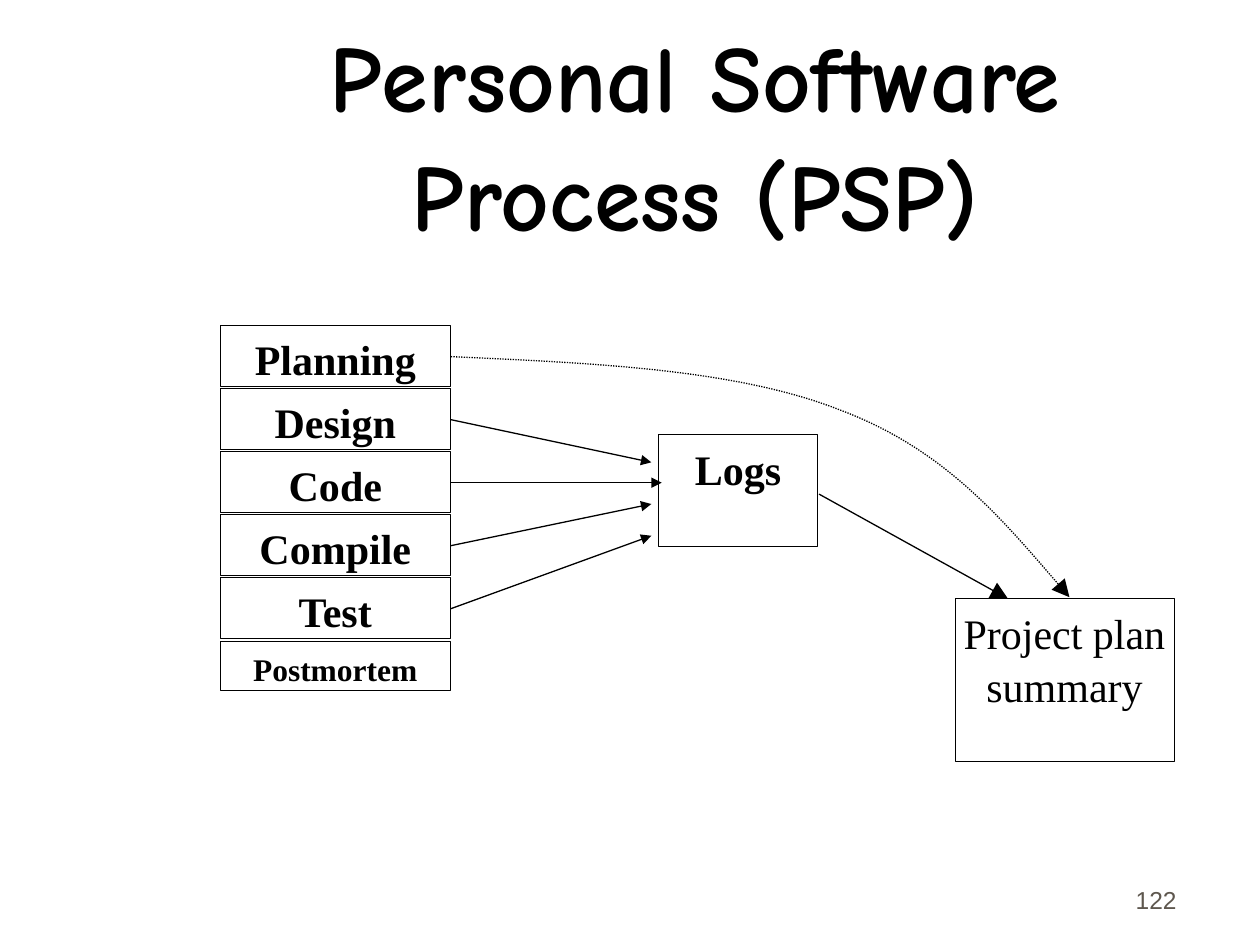
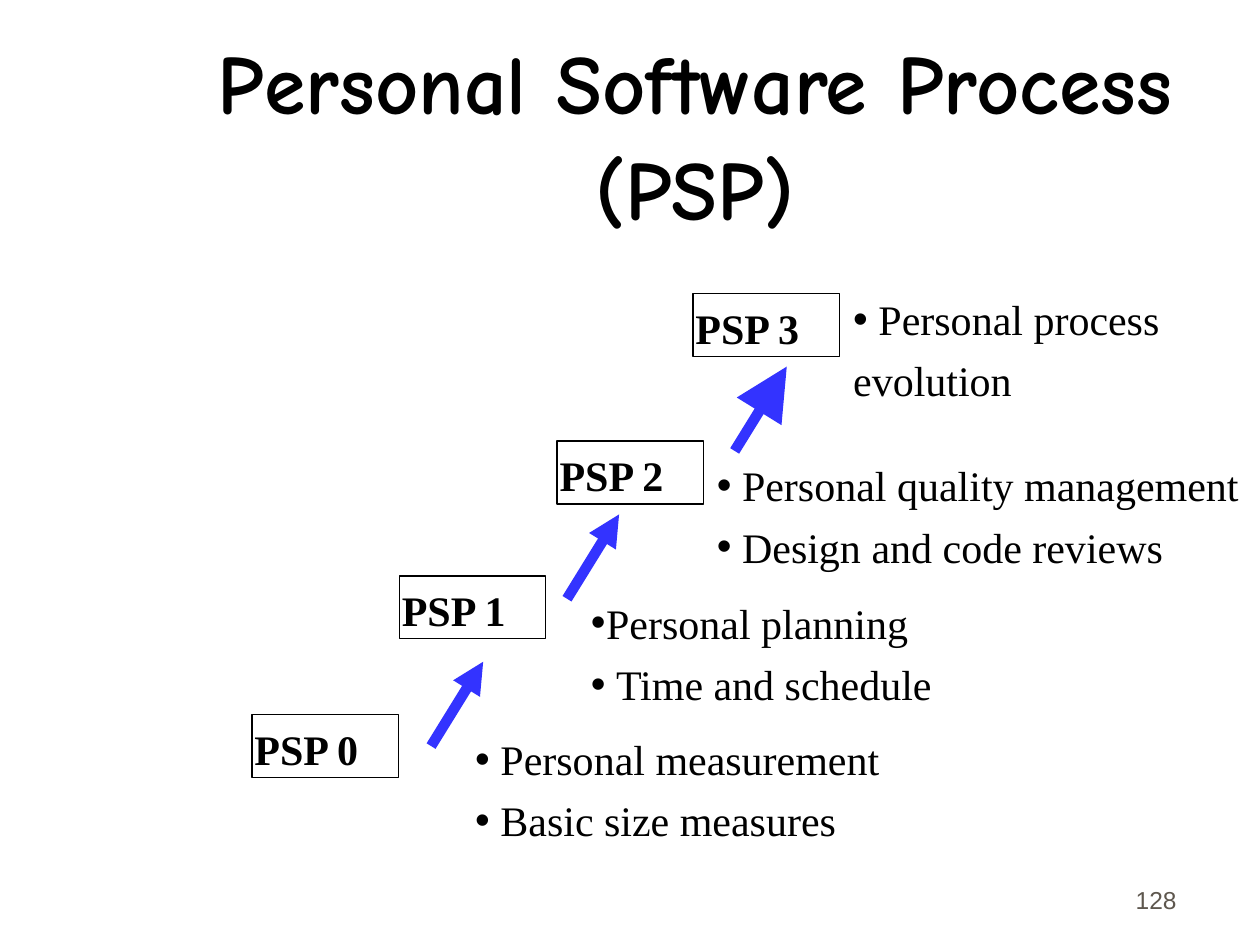
from lxml.etree import SubElement
from pptx import Presentation
from pptx.dml.color import RGBColor
from pptx.enum.dml import MSO_LINE
from pptx.enum.shapes import MSO_CONNECTOR, MSO_SHAPE
from pptx.enum.text import MSO_ANCHOR, PP_ALIGN
from pptx.oxml.ns import qn
from pptx.util import Cm, Pt

BLACK = RGBColor(0x00, 0x00, 0x00)
BLUE = RGBColor(0x33, 0x33, 0xFF)
GREY = RGBColor(0x5E, 0x57, 0x4E)

TITLE_FONT = "Comic Neue"
BODY_FONT = "Times New Roman"
NUMBER_FONT = "Arial"
BULLET_FONT = "Arial"


class SlideWriter:
    """Holds the shared style and the slide being drawn."""

    body = {"name": BODY_FONT, "size": Pt(24), "bold": False}
    strong = {**body, "bold": True}
    line_spacing = 1.05
    side_inset = Cm(0.05)

    def __init__(self):
        self.deck = Presentation()
        self.deck.slide_width, self.deck.slide_height = Cm(25.4), Cm(19.05)
        self.page = None

    def start_page(self, title, title_size, number):
        self.page = self.deck.slides.add_slide(self.deck.slide_layouts[6])
        self.text((18.69, 17.3, 5.28, 1.27), [number],
                  {"name": NUMBER_FONT, "size": Pt(14)}, color=GREY,
                  align=PP_ALIGN.RIGHT, anchor=MSO_ANCHOR.BOTTOM, inset=Cm(0.25))
        self.text((3.2, 0.71, 21.62, 3.89), [title],
                  {"name": TITLE_FONT, "size": Pt(title_size), "bold": True},
                  align=PP_ALIGN.CENTER, anchor=MSO_ANCHOR.MIDDLE)

    def fill_text(self, shape, lines, font, color=BLACK, align=PP_ALIGN.LEFT,
                  anchor=MSO_ANCHOR.TOP, inset=side_inset, hangs=()):
        """Write one paragraph per line; a hang above zero gives it a bullet."""
        frame = shape.text_frame
        frame_format = {"word_wrap": True, "vertical_anchor": anchor,
                        "margin_left": inset, "margin_right": inset,
                        "margin_top": Cm(0.13), "margin_bottom": Cm(0.13)}
        for name, value in frame_format.items():
            setattr(frame, name, value)
        for index, line in enumerate(lines):
            para = frame.add_paragraph() if index else frame.paragraphs[0]
            if index:
                para.space_before = Pt(4.8)
            para.alignment = align
            para.line_spacing = self.line_spacing
            if hangs and hangs[index]:
                self.bullet(para, Cm(hangs[index]))
            span = para.add_run()
            span.text = line
            for name, value in font.items():
                setattr(span.font, name, value)
            span.font.color.rgb = color

    def bullet(self, para, hang):
        properties = para._p.get_or_add_pPr()
        properties.set("marL", str(hang))
        properties.set("indent", str(-hang))
        SubElement(properties, qn("a:buFont"), typeface=BULLET_FONT)
        SubElement(properties, qn("a:buChar"), char="•")

    def text(self, place, lines, font, **options):
        box = self.page.shapes.add_textbox(*map(Cm, place))
        self.fill_text(box, lines, font, **options)

    def box(self, place, label, font, line_width=0.25, align=PP_ALIGN.CENTER):
        shape = self.page.shapes.add_shape(MSO_SHAPE.RECTANGLE, *map(Cm, place))
        self.outline(shape, line_width)
        self.fill_text(shape, [label], font, align=align)

    def outline(self, shape, width):
        shape.shadow.inherit = False
        shape.fill.background()
        shape.line.color.rgb = BLACK
        shape.line.width = Pt(width)

    def arrow_head(self, line, size):
        SubElement(line._get_or_add_ln(), qn("a:tailEnd"),
                   type="triangle", w=size, len=size)

    def arrow(self, start, end, color=BLACK, width=0.75, head="med"):
        connector = self.page.shapes.add_connector(
            MSO_CONNECTOR.STRAIGHT, *map(Cm, start + end))
        connector.line.color.rgb = color
        connector.line.width = Pt(width)
        self.arrow_head(connector.line, head)
        SubElement(connector._element.spPr, qn("a:effectLst"))

    def dotted_curve(self, start, points):
        """Draw Bezier curves; each takes three of the points."""
        builder = self.page.shapes.build_freeform(*map(Cm, start))
        builder.add_line_segments([(Cm(x), Cm(y)) for x, y in points], close=False)
        curve = builder.convert_to_shape()
        self.outline(curve, 0.75)
        curve.line.dash_style = MSO_LINE.ROUND_DOT
        self.arrow_head(curve.line, "lg")
        segments = curve._element.xpath(".//a:lnTo")
        outline = segments[0].getparent()
        for first in range(0, len(segments), 3):
            bezier = SubElement(outline, qn("a:cubicBezTo"))
            for segment in segments[first:first + 3]:
                bezier.append(segment[0])
                outline.remove(segment)


def draw_process_flow(writer):
    writer.start_page("Personal Software Process (PSP)", 54, "122")
    left, top, width, pitch = 4.45, 6.55, 4.62, 1.27
    for row, phase in enumerate(["Planning", "Design", "Code", "Compile", "Test"]):
        writer.box((left, top + row * pitch, width, 1.24), phase, writer.strong)
    writer.box((left, 12.93, width, 0.99), "Postmortem",
               {**writer.strong, "size": Pt(18)})
    writer.box((13.28, 8.76, 3.2, 2.26), "Logs", writer.strong)
    writer.box((19.25, 12.07, 4.42, 3.28), "Project plan summary", writer.body)

    log_ends = [(13.13, 9.32), (13.34, 9.73), (13.13, 10.16), (13.13, 10.8)]
    for row, end in enumerate(log_ends):
        writer.arrow((9.09, 8.46 + row * pitch), end)
    writer.arrow((16.51, 9.96), (20.32, 12.07), head="lg")
    writer.dotted_curve((9.09, 7.19), [
        (11.96, 7.32), (14.83, 7.44), (16.92, 8.26),
        (19, 9.04), (20.27, 10.54), (21.56, 12.04)])


def draw_level_steps(writer):
    writer.start_page("Personal Software Process (PSP)", 48, "128")
    level_corners = [(5.08, 14.4), (8.05, 11.61), (11.23, 8.89), (13.97, 5.92)]
    for level, corner in enumerate(level_corners):
        writer.box(corner + (2.95, 1.27), f"PSP {level}", writer.strong,
                   line_width=0.75, align=PP_ALIGN.LEFT)

    for x, y, head in [(8.69, 15.04, "med"), (11.43, 12.07, "med"),
                       (14.81, 9.09, "lg")]:
        writer.arrow((x, y), (x + 1.05, y - 1.7), BLUE, 6, head)

    practices = [
        ((9.53, 14.61, 9.07), ["Personal measurement", "Basic size measures"],
         (0.51, 0.51)),
        ((11.86, 11.86, 9.07), ["Personal planning", "Time and schedule"],
         (0.31, 0.51)),
        ((14.4, 9.09, 10.92), ["Personal quality management",
                               "Design and code reviews"], (0.51, 0.51)),
        ((17.15, 5.74, 8.2), ["Personal process", "evolution"], (0.51, 0)),
    ]
    for place, lines, hangs in practices:
        writer.text(place + (2.34,), lines, writer.body, hangs=hangs)


def main():
    writer = SlideWriter()
    draw_process_flow(writer)
    draw_level_steps(writer)
    writer.deck.save("out.pptx")


if __name__ == "__main__":
    main()
